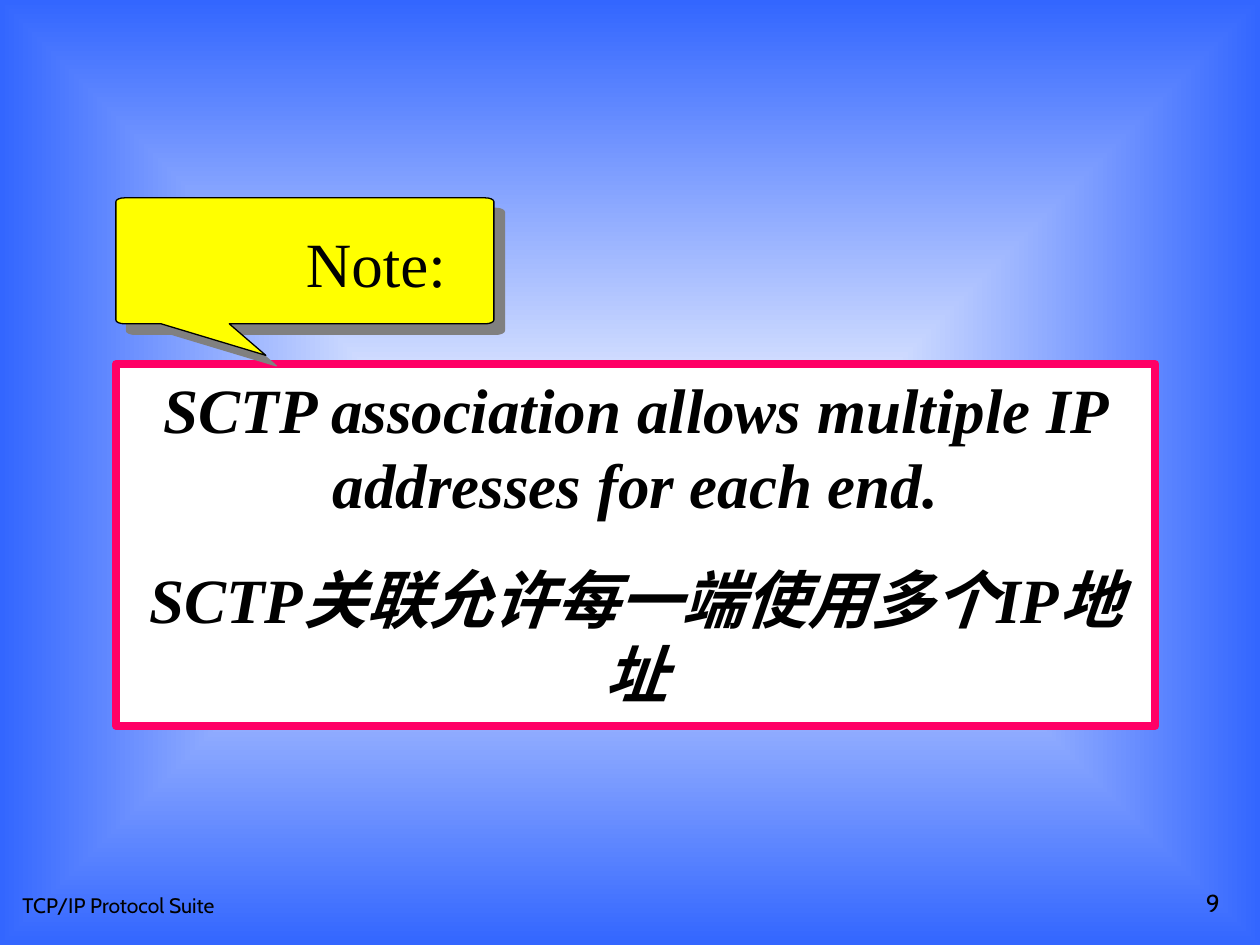
import math

import pptx
import pptx.dml.color
import pptx.enum.shapes
import pptx.enum.text
import pptx.oxml
import pptx.oxml.ns
import pptx.util

Inches = pptx.util.Inches
Pt = pptx.util.Pt
Align = pptx.enum.text.PP_ALIGN
Anchor = pptx.enum.text.MSO_ANCHOR
Fit = pptx.enum.text.MSO_AUTO_SIZE
NS = pptx.oxml.ns.nsdecls("a")

THEME = {
    "blue": "3366FF", "white": "FFFFFF", "black": "000000",
    "pink": "FF0066", "yellow": "FFFF00", "gray": "808080",
    "foot": {"name": "Cabin", "size": Pt(12)},
    "page": {"name": "Cabin", "size": Pt(14)},
    "note": {"name": "Times New Roman", "size": Pt(36)},
    "fact": {"name": "Times New Roman", "size": Pt(36),
             "bold": True, "italic": True},
}


def color(key):
    return pptx.dml.color.RGBColor.from_string(THEME[key])


def write(frame, lines, style, **form):
    """Fill a text frame, giving each line the same font and paragraph form."""
    for num, line in enumerate(lines):
        para = frame.add_paragraph() if num else frame.paragraphs[0]
        run = para.add_run()
        run.text = line
        for key, val in THEME[style].items():
            setattr(run.font, key, val)
        run.font.color.rgb = color("black")
        for key, val in form.items():
            setattr(para, key, val)


deck = pptx.Presentation()
deck.slide_width, deck.slide_height = Inches(10), Inches(7.5)
slide = deck.slides.add_slide(deck.slide_layouts[6])
shapes = slide.shapes

# Background: white centre fading to blue edges
back = slide.background.fill
back.gradient()
for stop, key, pos in zip(back.gradient_stops, ("white", "blue"), (0, 1)):
    stop.color.rgb = color(key)
    stop.position = pos
lin = slide.background._cSld.find(".//" + pptx.oxml.ns.qn("a:lin"))
lin.getparent().replace(lin, pptx.oxml.parse_xml(
    f'<a:path {NS} path="shape"><a:fillToRect l="50000" t="50000" '
    'r="50000" b="50000"/></a:path>'))

# Footer and page number
for left, width, text, style, side in (
        (0.08, 3.17, "TCP/IP Protocol Suite", "foot", Align.LEFT),
        (7.7, 2.08, "9", "page", Align.RIGHT)):
    box = shapes.add_textbox(Inches(left), Inches(6.83), Inches(width), Inches(0.5))
    box.text_frame.word_wrap = True
    box.text_frame.vertical_anchor = Anchor.BOTTOM
    write(box.text_frame, [text], style, alignment=side)

# Framed statement
card = shapes.add_shape(pptx.enum.shapes.MSO_SHAPE.RECTANGLE,
                        Inches(0.92), Inches(2.89), Inches(8.25), Inches(2.87))
card.shadow.inherit = False
card.fill.solid()
card.fill.fore_color.rgb = color("white")
card.line.color.rgb = color("pink")
card.line.width = Pt(4.5)
frame = card.text_frame
frame.word_wrap = True
frame.vertical_anchor = Anchor.TOP
write(frame, ["SCTP association allows multiple IP addresses for each end.",
              "SCTP关联允许每一端使用多个IP地址"],
      "fact", alignment=Align.CENTER, line_spacing=Pt(43.2), space_after=Pt(10))
frame.paragraphs[1].space_before = Pt(12)

# Callout: a box with rounded corners and a pointer in its lower side
left, top, right, low = 0.92, 1.57, 3.92, 2.57
rx, ry = 0.07, 0.03
dots = []
for cx, cy, start in ((right - rx, top + ry, 270), (right - rx, low - ry, 0),
                      (left + rx, low - ry, 90), (left + rx, top + ry, 180)):
    if start == 90:
        dots += [(1.82, low), (2.11, 2.82), (1.28, low)]
    for step in range(5):
        turn = math.radians(start + 22.5 * step)
        dots.append((cx + rx * math.cos(turn), cy + ry * math.sin(turn)))
dots = [(Inches(x), Inches(y)) for x, y in dots]
pen = shapes.build_freeform(*dots[0])
pen.add_line_segments(dots[1:], close=True)
call = pen.convert_to_shape()
call.shadow.inherit = False
call.fill.solid()
call.fill.fore_color.rgb = color("yellow")
call.line.color.rgb = color("black")
call.line.width = Pt(0.75)
glow = call._element.spPr.find(pptx.oxml.ns.qn("a:effectLst"))
glow.append(pptx.oxml.parse_xml(
    f'<a:outerShdw {NS} blurRad="0" dist="{Pt(8.5)}" dir="2700000" algn="ctr" '
    f'rotWithShape="0"><a:srgbClr val="{THEME["gray"]}"/></a:outerShdw>'))

label = shapes.add_textbox(Inches(2.33), Inches(1.73), Inches(1.31), Inches(0.7))
label.text_frame.word_wrap = False
label.text_frame.auto_size = Fit.SHAPE_TO_FIT_TEXT
write(label.text_frame, ["Note:"], "note")

deck.save("out.pptx")
